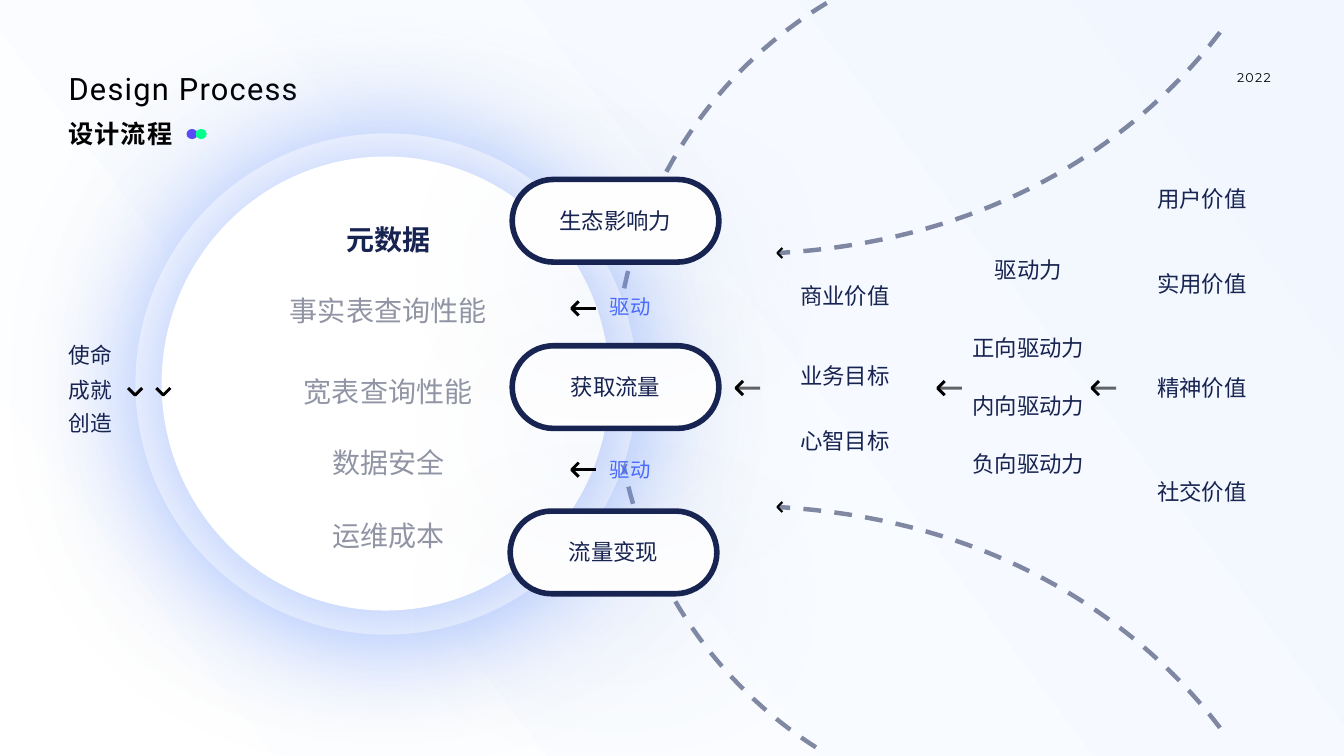
from lxml.etree import SubElement
from pptx import Presentation
from pptx.dml.color import RGBColor
from pptx.enum.dml import MSO_LINE_DASH_STYLE as DASH
from pptx.enum.shapes import MSO_CONNECTOR as CONN, MSO_SHAPE as SHAPE
from pptx.enum.text import MSO_ANCHOR as ANCHOR, MSO_AUTO_SIZE as AUTO, PP_ALIGN as ALIGN
from pptx.oxml.ns import qn
from pptx.util import Inches, Pt

NAVY, BLACK, WHITE, GREY, BLUE = "172350", "000000", "FFFFFF", "9194A4", "486AFF"
GLOW = "799FFB"


def rgb(value):
    return RGBColor.from_string(value)


def bezier(p0, p1, p2, p3, steps=40):
    """Points along a cubic curve."""
    points = []
    for i in range(steps + 1):
        t = i / steps
        u = 1 - t
        weights = (u ** 3, 3 * u * u * t, 3 * u * t * t, t ** 3)
        points.append(tuple(sum(w * p[k] for w, p in zip(weights, (p0, p1, p2, p3)))
                            for k in (0, 1)))
    return points


class Deck:
    def __init__(self, slide, font="Roboto", size=16, color=NAVY):
        self.s, self.font, self.size, self.color = slide, font, size, color

    def set_text(self, tf, text, size=None, color=None, font=None, bold=False,
                 align=ALIGN.CENTER, leading=None, spacing=0, anchor=ANCHOR.TOP, wrap=False):
        size = size or self.size
        tf.margin_left = tf.margin_right = tf.margin_top = tf.margin_bottom = 0
        tf.auto_size = AUTO.NONE
        tf.word_wrap = wrap
        tf.vertical_anchor = anchor
        tf.text = text
        p = tf.paragraphs[0]
        p.alignment = align
        p.line_spacing = Pt(leading or size + 2.5)
        p.space_before = Pt(0)
        r = p.runs[0]
        r.font.name = font or self.font
        r.font.size = Pt(size)
        r.font.bold = bold
        r.font.color.rgb = rgb(color or self.color)
        if spacing:
            r._r.get_or_add_rPr().set("spc", str(int(spacing * 100)))

    def text(self, x, y, w, h, text, **style):
        box = self.s.shapes.add_textbox(Inches(x), Inches(y), Inches(w), Inches(h))
        self.set_text(box.text_frame, text, **style)

    def column(self, center, w, h, items, **style):
        for y, text, font in items:
            self.text(center - w / 2, y, w, h, text, font=font, **style)

    def stroke(self, shape, color, width, alpha=100):
        shape.line.color.rgb = rgb(color)
        shape.line.width = Pt(width)
        if alpha < 100:
            clr = shape._element.spPr.find(qn("a:ln")).find(".//" + qn("a:srgbClr"))
            SubElement(clr, qn("a:alpha"), val=str(alpha * 1000))

    def shape(self, kind, x, y, w, h, fill, line=None, width=1, shadow=None):
        sp = self.s.shapes.add_shape(kind, Inches(x), Inches(y), Inches(w), Inches(h))
        sp.fill.solid()
        sp.fill.fore_color.rgb = rgb(fill)
        if line:
            self.stroke(sp, line, width)
        else:
            sp.line.fill.background()
        sp.shadow.inherit = False
        if shadow:
            alpha, blur, dist = shadow
            effects = sp._element.spPr.find(qn("a:effectLst"))
            outer = SubElement(effects, qn("a:outerShdw"), blurRad=str(int(Pt(blur))),
                               dist=str(int(Pt(dist))), dir="5400000", algn="ctr",
                               rotWithShape="0")
            clr = SubElement(outer, qn("a:srgbClr"), val=GLOW)
            SubElement(clr, qn("a:alpha"), val=str(alpha * 1000))
        return sp

    def pill(self, x, y, label):
        sp = self.shape(SHAPE.ROUNDED_RECTANGLE, x, y, 2.05, 0.82, "FEFEFF", NAVY, 4,
                        shadow=(10, 100, 31.5))
        sp.adjustments[0] = 0.5
        self.set_text(sp.text_frame, label, anchor=ANCHOR.MIDDLE)

    def outline(self, points, color, width, alpha=100, dashed=False):
        pts = [(Inches(x), Inches(y)) for x, y in points]
        builder = self.s.shapes.build_freeform(*pts[0])
        builder.add_line_segments(pts[1:], close=False)
        sp = builder.convert_to_shape()
        sp.fill.background()
        sp.shadow.inherit = False
        self.stroke(sp, color, width, alpha)
        if dashed:
            sp.line.dash_style = DASH.DASH

    def arc(self, points):
        self.outline(points, NAVY, 3.17, alpha=52, dashed=True)

    def head(self, x, y, d=0.07, width=2.14):
        self.outline([(x + d, y - d), (x, y), (x + d, y + d)], BLACK, width)

    def arrow(self, x, y, alpha=100):
        shaft = self.s.shapes.add_connector(CONN.STRAIGHT, Inches(x), Inches(y),
                                            Inches(x + 0.24), Inches(y))
        self.stroke(shaft, BLACK, 2.14, alpha)
        SubElement(shaft._element.spPr, qn("a:effectLst"))
        self.head(x, y)


def main():
    prs = Presentation()
    prs.slide_width, prs.slide_height = Inches(13.33), Inches(7.5)
    s = prs.slides.add_slide(prs.slide_layouts[5])
    d = Deck(s)

    # Background
    bg = s.background.fill
    bg.gradient()
    bg.gradient_angle = 217
    for stop, color in zip(bg.gradient_stops, ("F1F6FF", WHITE)):
        stop.color.rgb = rgb(color)

    # Heading
    title = s.shapes.title
    title.left, title.top = Inches(0.68), Inches(0.7)
    title.width, title.height = Inches(2.72), Inches(0.4)
    d.set_text(title.text_frame, "Design Process", size=22, color=BLACK, align=ALIGN.LEFT,
               leading=25.5, spacing=0.9, wrap=True)

    # Large arc behind the circles
    d.arc(bezier((8.2, 0.03), (6.94, 0.79), (6.1, 2.17), (6.1, 3.75))
          + bezier((6.1, 3.75), (6.1, 5.34), (6.94, 6.73), (8.2, 7.48))[1:])

    # Glowing circles
    d.shape(SHAPE.OVAL, 1.35, 1.33, 4.96, 4.96, WHITE, WHITE, shadow=(37, 100, 4))
    d.shape(SHAPE.OVAL, 1.61, 1.56, 4.43, 4.49, WHITE, WHITE, shadow=(70, 88.1, 4))

    # Side arcs, mirrored about the middle
    side = bezier((12.1, 0.32), (11.47, 1.15), (10.12, 2.37), (7.72, 2.51))
    for points in (side, [(x, 7.54 - y) for x, y in side]):
        d.arc(points)
        d.head(7.71, points[-1][1], d=0.05, width=1.5)

    # Chevrons beside the mission words
    for x in (1.27, 1.55):
        d.outline([(x, 3.85), (x + 0.07, 3.92), (x + 0.14, 3.85)], BLACK, 2.1)

    # Pills
    for x, y, label in ((5.06, 5.07, "流量变现"), (5.08, 3.43, "获取流量"),
                        (5.08, 1.78, "生态影响力")):
        d.pill(x, y, label)

    # Arrows
    for y in (3.06, 4.66):
        d.arrow(5.67, y)
    for x in (7.3, 9.3, 10.83):
        d.arrow(x, 3.85, alpha=60)

    # Subtitle, dots and year
    d.text(0.68, 1.18, 1.05, 0.33, "设计流程", size=18, color=BLACK, font="Cabin", bold=True,
           align=ALIGN.LEFT, leading=21, spacing=0.7)
    for x, color in ((1.85, "594AFA"), (1.94, "01FF8C")):
        d.shape(SHAPE.OVAL, x, 1.28, 0.11, 0.1, color)
    d.text(12.27, 0.69, 0.37, 0.15, "2022", size=9, color=BLACK, font="Montserrat",
           align=ALIGN.LEFT, leading=11, spacing=0.9)

    # Text columns, left to right
    d.column(0.9, 0.44, 0.28, [(3.4, "使命", "Roboto"), (3.75, "成就", "Roboto"),
                               (4.07, "创造", "Roboto")], size=15.5, align=ALIGN.LEFT)
    d.column(3.85, 0.85, 0.37, [(2.21, "元数据", "Cabin")], size=20, bold=True, leading=23.5)
    d.column(3.85, 1.96, 0.37, [(2.92, "事实表查询性能", "Cabin"), (3.72, "宽表查询性能", "Cabin"),
                                (4.43, "数据安全", "Cabin"), (5.15, "运维成本", "Cabin")],
             size=20, color=GREY, leading=23.5)
    d.column(6.25, 0.42, 0.26, [(2.92, "驱动", "Roboto"), (4.54, "驱动", "Roboto")],
             size=14.5, color=BLUE)
    d.column(8.38, 0.9, 0.29, [(2.81, "商业价值", "Roboto"), (3.6, "业务目标", "Cabin"),
                               (4.25, "心智目标", "Cabin")])
    d.column(10.2, 1.12, 0.29, [(2.55, "驱动力", "Roboto"), (3.32, "正向驱动力", "Cabin"),
                                (3.9, "内向驱动力", "Cabin"), (4.47, "负向驱动力", "Cabin")])
    d.column(11.92, 0.9, 0.29, [(1.85, "用户价值", "Roboto"), (2.69, "实用价值", "Cabin"),
                                (3.72, "精神价值", "Cabin"), (4.75, "社交价值", "Cabin")])

    prs.save("out.pptx")


if __name__ == "__main__":
    main()
